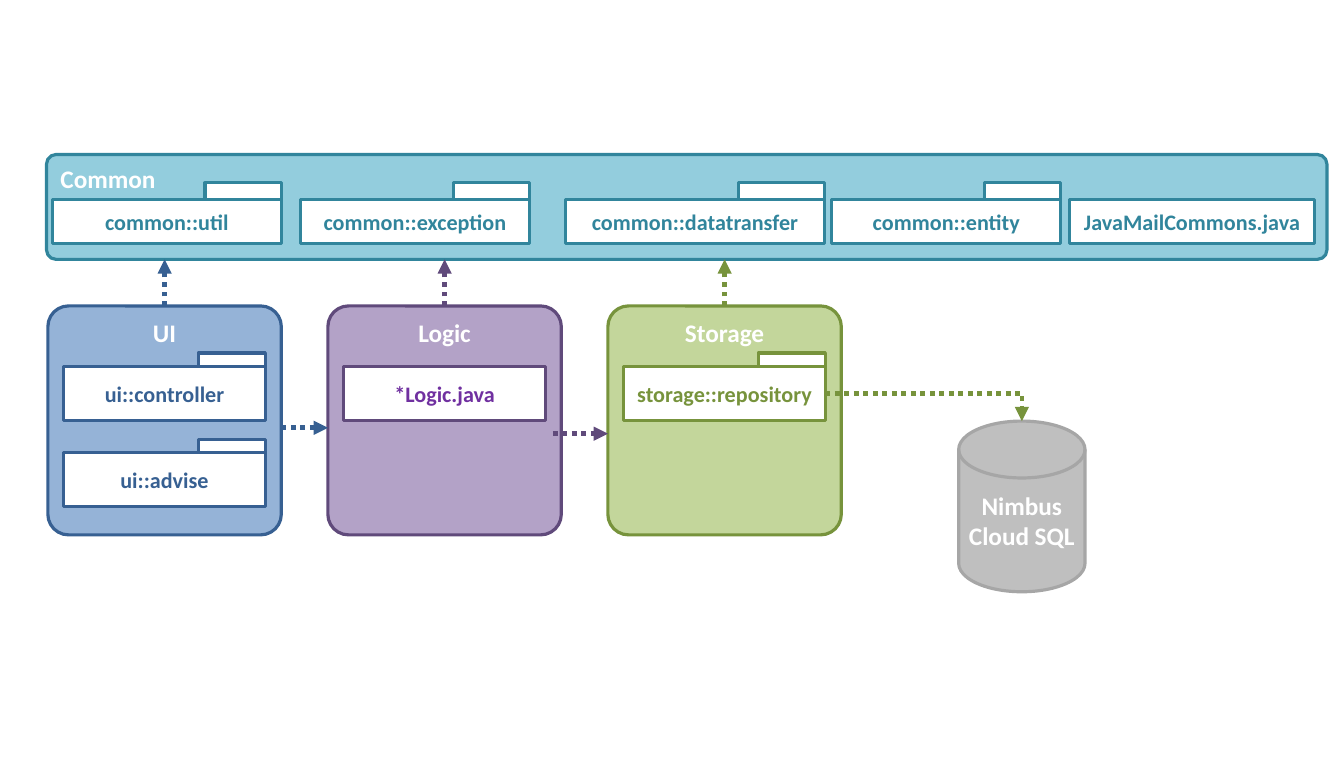
from dataclasses import dataclass

from lxml.etree import SubElement
from pptx import Presentation
from pptx.dml.color import RGBColor
from pptx.enum.dml import MSO_LINE
from pptx.enum.shapes import MSO_CONNECTOR as Link, MSO_SHAPE as Kind
from pptx.enum.text import MSO_ANCHOR as Anchor, PP_ALIGN as Align
from pptx.oxml.ns import qn
from pptx.util import Cm, Pt


@dataclass(frozen=True)
class Theme:
    font: str = "Calibri"
    heading: int = 16
    label: int = 14
    outline: int = 2
    arrow: int = 3
    white: str = "FFFFFF"
    # Each palette holds fill, outline and label colour
    teal: tuple = ("93CDDD", "31859C", "31859C")
    blue: tuple = ("95B3D7", "376092", "376092")
    purple: tuple = ("B3A2C7", "604A7B", "7030A0")
    green: tuple = ("C3D69B", "77933C", "77933C")
    grey: tuple = ("BFBFBF", "A6A6A6", "FFFFFF")


THEME = Theme()

# Content: (label, has a package tab), and for the common row also left and width in cm
COMMON = "Common"
COMMON_PARTS = [
    ("common::util", True, 1.17, 5.11),
    ("common::exception", True, 6.71, 5.11),
    ("common::datatransfer", True, 12.62, 5.79),
    ("common::entity", True, 18.57, 5.11),
    ("JavaMailCommons.java", False, 23.88, 5.46),
]
COMPONENTS = [
    ("UI", THEME.blue, [("ui::controller", True), ("ui::advise", True)]),
    ("Logic", THEME.purple, [("*Logic.java", False)]),
    ("Storage", THEME.green, [("storage::repository", True)]),
]
DATABASE = "Nimbus Cloud SQL"

# Layout in cm
COMMON_LEFT, COMMON_TOP, COMMON_W, COMMON_H = 1.04, 3.45, 28.58, 2.34
COMMON_PART_TOP, COMMON_PART_H, COMMON_TAB_H = 4.45, 0.98, 0.37
COMP_LEFT, COMP_TOP, COMP_W, COMP_H, COMP_PITCH = 1.07, 6.83, 5.21, 5.11, 6.25
PART_TOP, PART_W, PART_H, PART_PITCH, PART_TAB_H = 8.18, 4.5, 1.2, 1.93, 0.3
DB_LEFT, DB_TOP, DB_W, DB_H = 21.4, 9.4, 2.82, 3.81
CORNER = 0.09

deck = Presentation()
deck.slide_width, deck.slide_height = Cm(30), Cm(17.5)
slide = deck.slides.add_slide(deck.slide_layouts[6])


def assign(target, values):
    for name, value in values.items():
        setattr(target, name, value)


def add_box(kind, left, top, width, height, fill, outline):
    box = slide.shapes.add_shape(kind, Cm(left), Cm(top), Cm(width), Cm(height))
    box.shadow.inherit = False
    box.fill.solid()
    box.fill.fore_color.rgb = RGBColor.from_string(fill)
    box.line.color.rgb = RGBColor.from_string(outline)
    box.line.width = Pt(THEME.outline)
    return box


def write(box, words, size, color, align=Align.CENTER, **frame_format):
    assign(box.text_frame, {"word_wrap": True, **frame_format})
    paragraph = box.text_frame.paragraphs[0]
    paragraph.alignment = align
    run = paragraph.add_run()
    run.text = words
    assign(run.font, {"name": THEME.font, "size": Pt(size), "bold": True})
    run.font.color.rgb = RGBColor.from_string(color)


def add_panel(heading, left, top, width, height, palette, align=Align.CENTER):
    panel = add_box(Kind.ROUNDED_RECTANGLE, left, top, width, height, *palette[:2])
    panel.adjustments[0] = CORNER
    write(panel, heading, THEME.heading, THEME.white, align, vertical_anchor=Anchor.TOP)


def add_part(label, has_tab, left, top, width, height, tab_height, palette):
    body = add_box(Kind.RECTANGLE, left, top, width, height, THEME.white, palette[1])
    write(body, label, THEME.label, palette[2],
          vertical_anchor=Anchor.MIDDLE, word_wrap=False)
    if has_tab:
        tab_width = width / 3
        add_box(Kind.RECTANGLE, left + width - tab_width, top - tab_height,
                tab_width, tab_height, THEME.white, palette[1])


def add_arrow(start, end, palette, bent=False):
    kind = Link.ELBOW if bent else Link.STRAIGHT
    arrow = slide.shapes.add_connector(kind, *map(Cm, start + end))
    arrow.line.color.rgb = RGBColor.from_string(palette[1])
    assign(arrow.line, {"width": Pt(THEME.arrow), "dash_style": MSO_LINE.ROUND_DOT})
    properties = arrow._element.spPr
    SubElement(properties.find(qn("a:ln")), qn("a:tailEnd"), type="triangle")
    SubElement(properties, qn("a:effectLst"))
    if bent:
        properties.find(qn("a:prstGeom")).set("prst", "bentConnector2")


# Common panel and its packages
add_panel(COMMON, COMMON_LEFT, COMMON_TOP, COMMON_W, COMMON_H, THEME.teal, Align.LEFT)
for label, has_tab, left, width in COMMON_PARTS:
    add_part(label, has_tab, left, COMMON_PART_TOP, width, COMMON_PART_H,
             COMMON_TAB_H, THEME.teal)

# Components, their packages and the arrows up to Common
comp_lefts = [COMP_LEFT + i * COMP_PITCH for i in range(len(COMPONENTS))]
part_inset = (COMP_W - PART_W) / 2
for left, (heading, palette, parts) in zip(comp_lefts, COMPONENTS):
    add_panel(heading, left, COMP_TOP, COMP_W, COMP_H, palette)
    for row, (label, has_tab) in enumerate(parts):
        add_part(label, has_tab, left + part_inset, PART_TOP + row * PART_PITCH,
                 PART_W, PART_H, PART_TAB_H, palette)
    middle = left + COMP_W / 2
    add_arrow((middle, COMP_TOP), (middle, COMMON_TOP + COMMON_H), palette)

# Arrows between components
ui_left, logic_left, storage_left = comp_lefts
add_arrow((ui_left + COMP_W, 9.55), (logic_left, 9.55), THEME.blue)
add_arrow((12.34, 9.68), (storage_left, 9.68), THEME.purple)

# Database and the arrow that leads to it
database = add_box(Kind.FLOWCHART_MAGNETIC_DISK, DB_LEFT, DB_TOP, DB_W, DB_H,
                   *THEME.grey[:2])
write(database, DATABASE, THEME.heading, THEME.grey[2], vertical_anchor=Anchor.MIDDLE,
      margin_left=Cm(0.1), margin_right=Cm(0.1))
add_arrow((storage_left + part_inset + PART_W, PART_TOP + PART_H / 2),
          (DB_LEFT + DB_W / 2, DB_TOP), THEME.green, bent=True)

deck.save("out.pptx")
